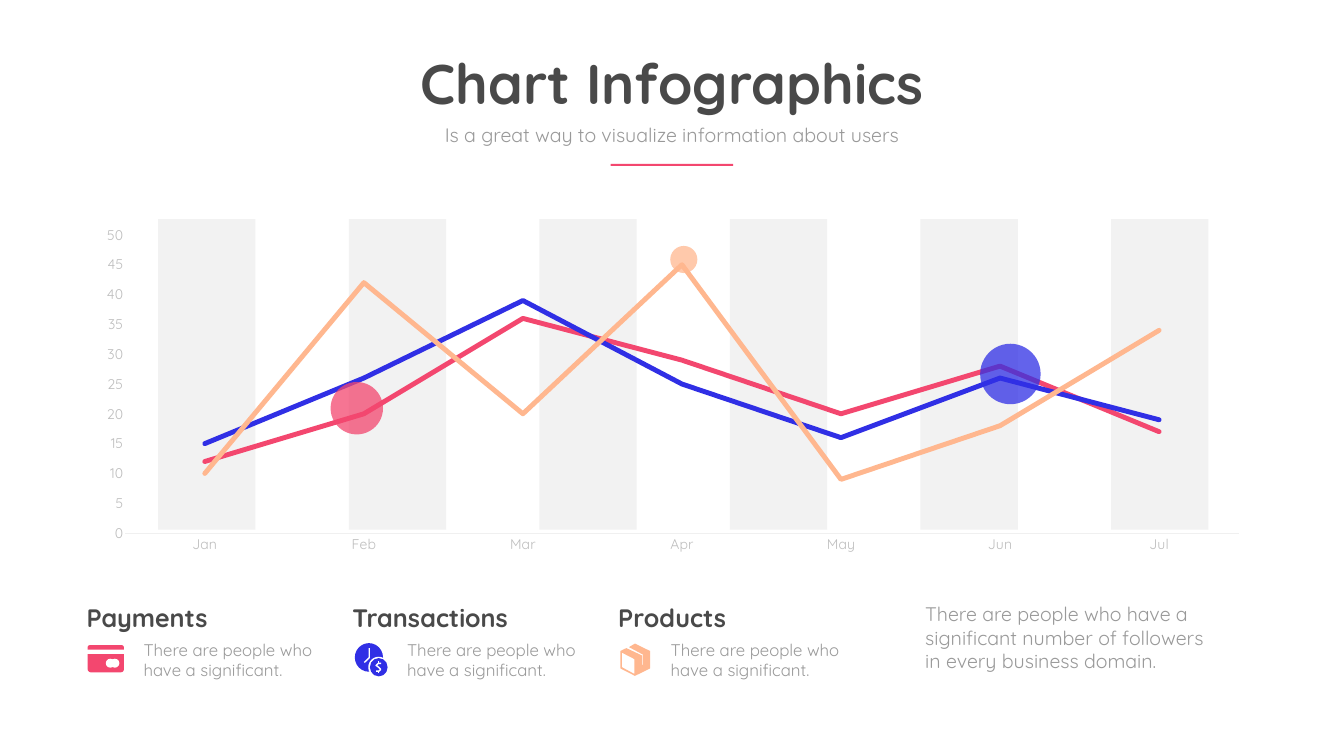
from dataclasses import dataclass
from typing import Callable, NamedTuple, Optional

from lxml import etree
from pptx import Presentation
from pptx.chart.data import CategoryChartData
from pptx.dml.color import RGBColor
from pptx.enum.chart import XL_CHART_TYPE, XL_MARKER_STYLE, XL_TICK_MARK
from pptx.enum.shapes import MSO_SHAPE
from pptx.enum.text import MSO_AUTO_SIZE, PP_ALIGN
from pptx.oxml import parse_xml
from pptx.oxml.ns import nsdecls, qn
from pptx.util import Inches, Pt

RECTANGLE, ELLIPSE = MSO_SHAPE.RECTANGLE, MSO_SHAPE.OVAL
ROUNDED_TOP = MSO_SHAPE.ROUND_2_SAME_RECTANGLE
CENTER, LEFT = PP_ALIGN.CENTER, PP_ALIGN.LEFT
NO_TICKS = XL_TICK_MARK.NONE

PINK = RGBColor(0xF3, 0x47, 0x6F)
BLUE = RGBColor(0x30, 0x2F, 0xE5)
PEACH = RGBColor(0xFF, 0xB7, 0x8F)
DARK = RGBColor(0x49, 0x49, 0x49)
GRAY = RGBColor(0x99, 0x99, 0x99)
AXIS_TEXT = RGBColor(0xBD, 0xBD, 0xBD)
AXIS_LINE = RGBColor(0xF0, 0xF0, 0xF0)
BAND = RGBColor(0xF2, 0xF2, 0xF2)
WHITE = RGBColor(0xFF, 0xFF, 0xFF)

FONT = "Quicksand"
WIDTH, HEIGHT = Inches(26.67), Inches(15)
TOPIC_TEXT = "There are people who have a significant."


class Box(NamedTuple):
    """Left, top, width and height in percent of the slide's sides."""
    left: float
    top: float
    width: float
    height: float

    def inside(self, left: float, top: float, width: float, height: float) -> "Box":
        """A part of this box, given in percent of its own sides."""
        return Box(self.left + self.width * left / 100, self.top + self.height * top / 100,
                   self.width * width / 100, self.height * height / 100)

    def lengths(self) -> list[int]:
        return [round(side * share / 100)
                for side, share in zip((WIDTH, HEIGHT, WIDTH, HEIGHT), self)]


@dataclass
class Topic:
    heading: str
    icon_box: Box
    draw_icon: Callable


@dataclass
class Highlight:
    left: float
    top: float
    diameter: float  # percent of the slide's width
    color: RGBColor


@dataclass
class Series:
    name: str
    values: tuple
    color: RGBColor


SERIES = [
    Series("Series 1", (12, 20, 36, 29, 20, 28, 17), PINK),
    Series("Series 2", (15, 26, 39, 25, 16, 26, 19), BLUE),
    Series("Series 3", (10, 42, 20, 45, 9, 18, 34), PEACH),
]
HIGHLIGHTS = [
    Highlight(24.6, 50.53, 3.9, PINK),
    Highlight(49.87, 32.53, 2.02, PEACH),
    Highlight(72.93, 45.47, 4.5, BLUE),
]


def add_filled(slide, kind, box: Box, color: RGBColor, opacity: int = 100):
    shape = slide.shapes.add_shape(kind, *box.lengths())
    shape.shadow.inherit = False
    shape.fill.solid()
    shape.fill.fore_color.rgb = color
    shape.line.fill.background()
    if opacity < 100:
        color_element = shape._element.spPr.find(".//" + qn("a:srgbClr"))
        etree.SubElement(color_element, qn("a:alpha"), val=str(opacity * 1000))
    return shape


def add_outline(slide, box: Box, contours: list, fill: Optional[RGBColor] = None,
                line: Optional[RGBColor] = None) -> None:
    """Contours in percent of the box: closed and filled, or open strokes."""
    paths = [[box.inside(x, y, 0, 0).lengths()[:2] for x, y in contour]
             for contour in contours]
    builder = slide.shapes.build_freeform(*paths[0][0])
    for path in paths:
        builder.move_to(*path[0])
        builder.add_line_segments(path[1:], close=fill is not None)
    shape = builder.convert_to_shape()
    shape.shadow.inherit = False
    if fill is not None:
        shape.fill.solid()
        shape.fill.fore_color.rgb = fill
        shape.line.fill.background()
    else:
        shape.fill.background()
        shape.line.color.rgb = line
        shape.line.width = Pt(2)


def format_text(shape, text: str, size: int, color: RGBColor,
                bold: bool = False, alignment=LEFT) -> None:
    frame = shape.text_frame
    frame.text = text
    frame.word_wrap = True
    frame.auto_size = MSO_AUTO_SIZE.NONE
    paragraph = frame.paragraphs[0]
    paragraph.alignment = alignment
    font = paragraph.runs[0].font
    font.name, font.size, font.bold = FONT, Pt(size), bold
    font.color.rgb = color


def add_text(slide, box: Box, *args, **options) -> None:
    format_text(slide.shapes.add_textbox(*box.lengths()), *args, **options)


def draw_card(slide, box: Box) -> None:
    add_filled(slide, ROUNDED_TOP, box.inside(0, 0, 100, 17), PINK).adjustments[0] = 0.5
    body = add_filled(slide, ROUNDED_TOP, box.inside(0, 33, 100, 67), PINK)
    body.rotation = 180
    for left in (50, 62.5):
        add_filled(slide, ELLIPSE, box.inside(left, 50, 25, 33), WHITE)


def draw_clock(slide, box: Box) -> None:
    add_filled(slide, ELLIPSE, box.inside(0, 0, 86, 86), BLUE)
    add_filled(slide, ELLIPSE, box.inside(41, 41, 63, 63), WHITE)
    add_filled(slide, ELLIPSE, box.inside(46, 45, 54, 55), BLUE)
    hands = [(44, 15), (44, 44), (29, 58)]
    dollar = [(80, 61), (72, 61), (65, 67), (72, 72), (79, 79), (74, 84), (65, 84)]
    ticks = [[(72, 55), (72, 61)], [(72, 84), (72, 91)]]
    add_outline(slide, box, [hands], line=WHITE)
    add_outline(slide, box, [dollar, *ticks], line=WHITE)


def draw_parcel(slide, box: Box) -> None:
    body = [(49, 0), (100, 23), (100, 77), (49, 100), (0, 77), (0, 23), (20, 14),
            (73, 37), (73, 66), (76, 66), (76, 34), (29, 11)]
    front = [(47, 94), (5, 73), (5, 28), (47, 48)]
    add_outline(slide, box, [body, front], fill=PEACH)


TOPICS = [
    Topic("Payments", Box(6.52, 85.33, 2.7, 3.6), draw_card),
    Topic("Transactions", Box(26.4, 85.07, 2.44, 4.4), draw_clock),
    Topic("Products", Box(46.16, 85.13, 2.21, 4.27), draw_parcel),
]


def add_line_chart(slide, box: Box) -> None:
    data = CategoryChartData()
    data.categories = ["Jan", "Feb", "Mar", "Apr", "May", "Jun", "Jul"]
    for series in SERIES:
        data.add_series(series.name, series.values)
    chart = slide.shapes.add_chart(XL_CHART_TYPE.LINE, *box.lengths(), data).chart
    chart.has_legend = chart.has_title = False
    chart.font.name, chart.font.size = FONT, Pt(20)
    chart.font.color.rgb = GRAY
    for axis in (chart.category_axis, chart.value_axis):
        axis.major_tick_mark = axis.minor_tick_mark = NO_TICKS
        axis.has_major_gridlines = False
        font = axis.tick_labels.font
        font.name, font.size = FONT, Pt(20)
        font.color.rgb = AXIS_TEXT
    chart.category_axis.format.line.color.rgb = AXIS_LINE
    chart.category_axis.format.line.width = Pt(0.75)
    value_axis = chart.value_axis
    value_axis.format.line.fill.background()
    value_axis.minimum_scale, value_axis.maximum_scale, value_axis.major_unit = 0, 50, 5

    plot = chart.plots[0]
    plot.vary_by_categories = False
    for line, series in zip(plot.series, SERIES):
        line.smooth = False
        line.format.line.color.rgb = series.color
        line.format.line.width = Pt(7)
        line.format.line._ln.set("cap", "rnd")
        line.marker.style = XL_MARKER_STYLE.NONE

    plot_area = chart._chartSpace.chart.plotArea
    for layout in plot_area.findall(qn("c:layout")):
        plot_area.remove(layout)
    shares = {"x": 0.037, "y": 0.046, "w": 0.943, "h": 0.874}
    settings = '<c:layoutTarget val="inner"/><c:xMode val="edge"/><c:yMode val="edge"/>'
    settings += "".join(f'<c:{side} val="{share}"/>' for side, share in shares.items())
    plot_area.insert(0, parse_xml(f'<c:layout {nsdecls("c")}><c:manualLayout>{settings}'
                                  '</c:manualLayout></c:layout>'))


def main() -> None:
    presentation = Presentation()
    presentation.slide_width, presentation.slide_height = WIDTH, HEIGHT
    slide = presentation.slides.add_slide(presentation.slide_layouts[5])

    title = slide.shapes.title
    title.left, title.top, title.width, title.height = Box(25.8, 6, 48.4, 9.67).lengths()
    format_text(title, "Chart Infographics", 80, DARK, bold=True, alignment=CENTER)
    add_text(slide, Box(32.06, 15.87, 35.85, 3.8),
             "Is a great way to visualize information about users", 28, GRAY, alignment=CENTER)
    add_filled(slide, RECTANGLE, Box(45.44, 21.67, 9.11, 0.27), PINK)

    for column in range(6):
        add_filled(slide, RECTANGLE, Box(11.77 + 14.18 * column, 29, 7.24, 41.07), BAND)
    add_line_chart(slide, Box(6.07, 29, 87.85, 45.13))

    for column, topic in enumerate(TOPICS):
        topic.draw_icon(slide, topic.icon_box)
        add_text(slide, Box(10.31 + 19.61 * column, 84.27, 14.44, 6.07), TOPIC_TEXT, 24, GRAY)
        add_text(slide, Box(6.07 + 19.78 * column, 79.33, 12.41, 4.73),
                 topic.heading, 36, DARK, bold=True)
    add_text(slide, Box(68.47, 79.33, 22.5, 10.07),
             "There are people who have a significant number of followers "
             "in every business domain.", 28, GRAY)

    for spot in HIGHLIGHTS:
        box = Box(spot.left, spot.top, spot.diameter, spot.diameter * WIDTH / HEIGHT)
        add_filled(slide, ELLIPSE, box, spot.color, opacity=75)
    presentation.save("out.pptx")


if __name__ == "__main__":
    main()
